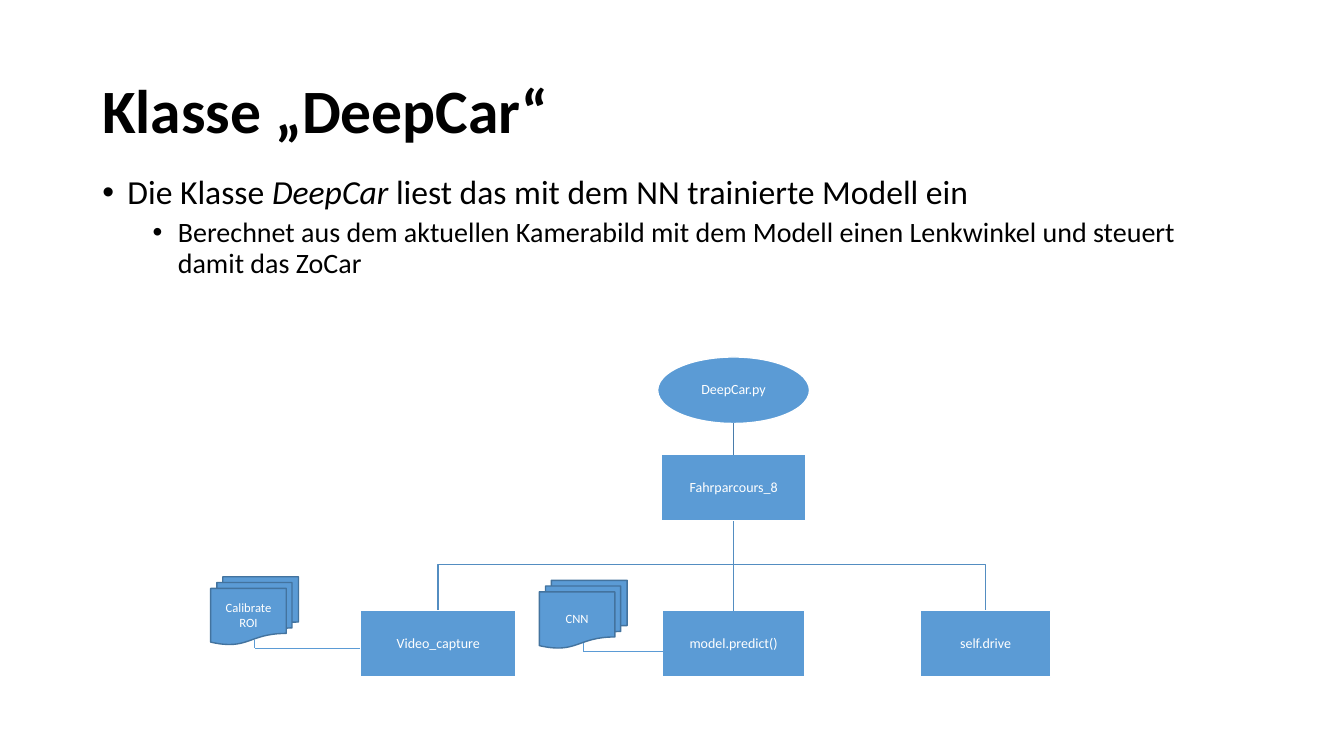
from lxml.etree import SubElement
from pptx import Presentation
from pptx.dml.color import RGBColor
from pptx.enum.shapes import MSO_CONNECTOR, MSO_SHAPE
from pptx.enum.text import MSO_ANCHOR, PP_ALIGN
from pptx.oxml.ns import qn
from pptx.util import Pt

COLORS = {
    "text": "000000",
    "white": "FFFFFF",
    "node": "5B9BD5",
    "document_edge": "43739E",
    "branch": "538DC1",
    "trunk": "497CAB",
}
FONT = "Calibri"
NODE_HEIGHT = 47.5
ROOT_TOP, STAGE_TOP, LEAF_TOP = 255, 324.75, 436.25
CENTER, JUNCTION = 524, 403.25
LEAVES = [("Video_capture", 313, 111.5), ("model.predict()", CENTER, 101.5), ("self.drive", 704, 93)]
# text, left, top, drop of the link below the document's top, index of the leaf it feeds
DOCUMENTS = [("Calibrate ROI", 150.5, 412, 51, 0), ("CNN", 385.25, 414.5, 51, 1)]
DOCUMENT_WIDTH, DOCUMENT_HEIGHT = 62.75, 48.5


class SlideBuilder:
    def __init__(self, page):
        self.page = page

    def color(self, name):
        return RGBColor.from_string(COLORS[name])

    def style_font(self, para, size, color, bold=None):
        para.font.name = FONT
        para.font.size = Pt(size)
        para.font.bold = bold
        para.font.color.rgb = self.color(color)

    def style_line(self, line, color, width):
        line.color.rgb = self.color(color)
        line.width = Pt(width)

    def text_frame(self, left, top, width, height, anchor):
        box = self.page.shapes.add_textbox(Pt(left), Pt(top), Pt(width), Pt(height))
        box.text_frame.word_wrap = True
        box.text_frame.vertical_anchor = anchor
        return box.text_frame

    def title(self, text):
        para = self.text_frame(66, 28.75, 828, 104.5, MSO_ANCHOR.MIDDLE).paragraphs[0]
        para.text = text
        para.line_spacing = 0.9
        self.style_font(para, 44, "text", bold=True)

    def bullets(self, items):
        """Each item is (level, size, space before, [(text, italic), ...])."""
        frame = self.text_frame(66, 121.75, 828, 368.5, MSO_ANCHOR.TOP)
        for index, (level, size, space, spans) in enumerate(items):
            para = frame.add_paragraph() if index else frame.paragraphs[0]
            para.level = level
            para.line_spacing = 0.9
            para.space_before = Pt(space)
            self.style_font(para, size, "text")
            properties = para._p.get_or_add_pPr()
            properties.set("marL", str(Pt(18 + 36 * level)))
            properties.set("indent", str(Pt(-18)))
            bullet_font = SubElement(properties, qn("a:buFont"))
            bullet_font.set("typeface", "Arial")
            bullet = SubElement(properties, qn("a:buChar"))
            bullet.set("char", "•")
            properties.append(properties.find(qn("a:defRPr")))
            for text, italic in spans:
                span = para.add_run()
                span.text = text
                span.font.italic = italic

    def shape(self, kind, text, left, top, width, height, size, edge):
        box = self.page.shapes.add_shape(kind, Pt(left), Pt(top), Pt(width), Pt(height))
        box.shadow.inherit = False
        box.fill.solid()
        box.fill.fore_color.rgb = self.color("node")
        self.style_line(box.line, edge, 1)
        frame = box.text_frame
        frame.word_wrap = True
        frame.vertical_anchor = MSO_ANCHOR.MIDDLE
        para = frame.paragraphs[0]
        para.text = text
        para.alignment = PP_ALIGN.CENTER
        self.style_font(para, size, "white")
        return box

    def node(self, kind, text, center, top, width):
        box = self.shape(kind, text, center - width / 2, top, width, NODE_HEIGHT, 10, "white")
        frame = box.text_frame
        frame.margin_left = frame.margin_right = frame.margin_top = frame.margin_bottom = Pt(0.75)
        frame.paragraphs[0].line_spacing = 0.9
        return box

    def document(self, text, left, top):
        self.shape(MSO_SHAPE.FLOWCHART_MULTIDOCUMENT, text, left, top,
                   DOCUMENT_WIDTH, DOCUMENT_HEIGHT, 9, "document_edge")

    def line(self, start, end, color, width):
        connector = self.page.shapes.add_connector(
            MSO_CONNECTOR.STRAIGHT, Pt(start[0]), Pt(start[1]), Pt(end[0]), Pt(end[1]))
        self.style_line(connector.line, color, width)
        SubElement(connector._element.spPr, qn("a:effectLst"))
        return connector

    def branch(self, points):
        (start_x, start_y), *rest = [(Pt(x), Pt(y)) for x, y in points]
        builder = self.page.shapes.build_freeform(start_x, start_y)
        builder.add_line_segments(rest, close=False)
        outline = builder.convert_to_shape()
        outline.shadow.inherit = False
        outline.fill.background()
        self.style_line(outline.line, "branch", 1)


def draw_tree(slide):
    stage_bottom = STAGE_TOP + NODE_HEIGHT
    for _, center, _ in LEAVES:
        if center != CENTER:
            slide.branch([(CENTER, stage_bottom), (CENTER, JUNCTION),
                          (center, JUNCTION), (center, LEAF_TOP)])
    slide.node(MSO_SHAPE.OVAL, "DeepCar.py", CENTER, ROOT_TOP, 108.5)
    stage = slide.node(MSO_SHAPE.RECTANGLE, "Fahrparcours_8", CENTER, STAGE_TOP, 103.5)
    leaves = [slide.node(MSO_SHAPE.RECTANGLE, text, center, LEAF_TOP, width)
              for text, center, width in LEAVES]

    trunk = slide.line((CENTER, ROOT_TOP + NODE_HEIGHT), (CENTER, STAGE_TOP), "trunk", 1)
    trunk.end_connect(stage, 0)
    middle = slide.line((CENTER, stage_bottom), (CENTER, LEAF_TOP), "branch", 1)
    middle.begin_connect(stage, 2)
    middle.end_connect(leaves[1], 0)


def draw_documents(slide):
    for text, left, top, drop, leaf in DOCUMENTS:
        slide.document(text, left, top)
        _, leaf_center, leaf_width = LEAVES[leaf]
        center, corner = left + DOCUMENT_WIDTH / 2, top + drop
        slide.line((center, corner - 6), (center, corner), "node", 0.5)
        slide.line((leaf_center - leaf_width / 2, corner), (center, corner), "node", 0.5)


def main():
    deck = Presentation()
    deck.slide_width, deck.slide_height = Pt(960), Pt(540)
    slide = SlideBuilder(deck.slides.add_slide(deck.slide_layouts[6]))
    slide.title("Klasse „DeepCar“")
    slide.bullets([
        (0, 24, 10, [("Die Klasse ", None), ("DeepCar", True),
                     (" liest das mit dem NN trainierte Modell ein", None)]),
        (1, 20, 5, [("Berechnet aus dem aktuellen Kamerabild mit dem Modell einen "
                     "Lenkwinkel und steuert damit das ZoCar", None)]),
    ])
    draw_tree(slide)
    draw_documents(slide)
    deck.save("out.pptx")


if __name__ == "__main__":
    main()
